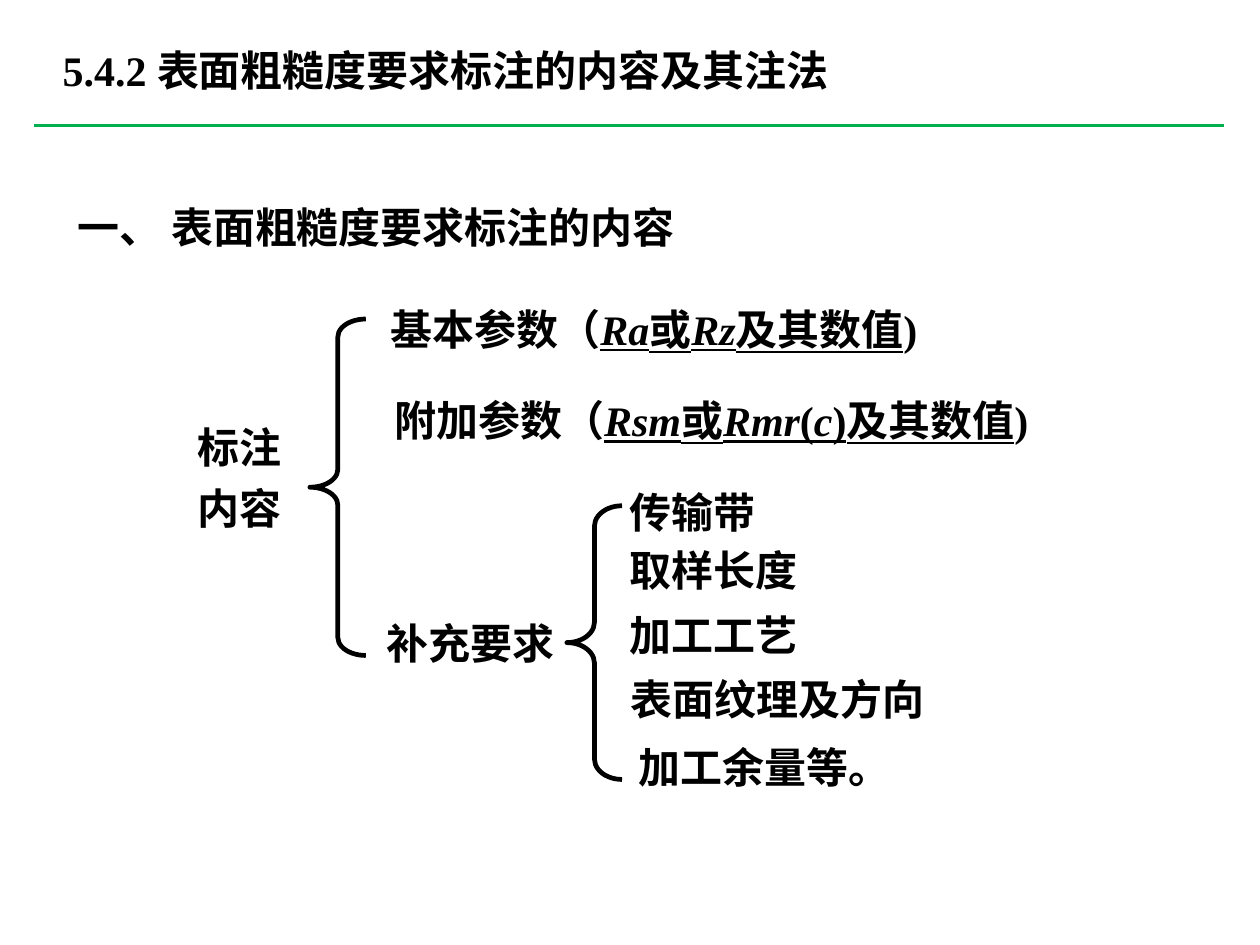
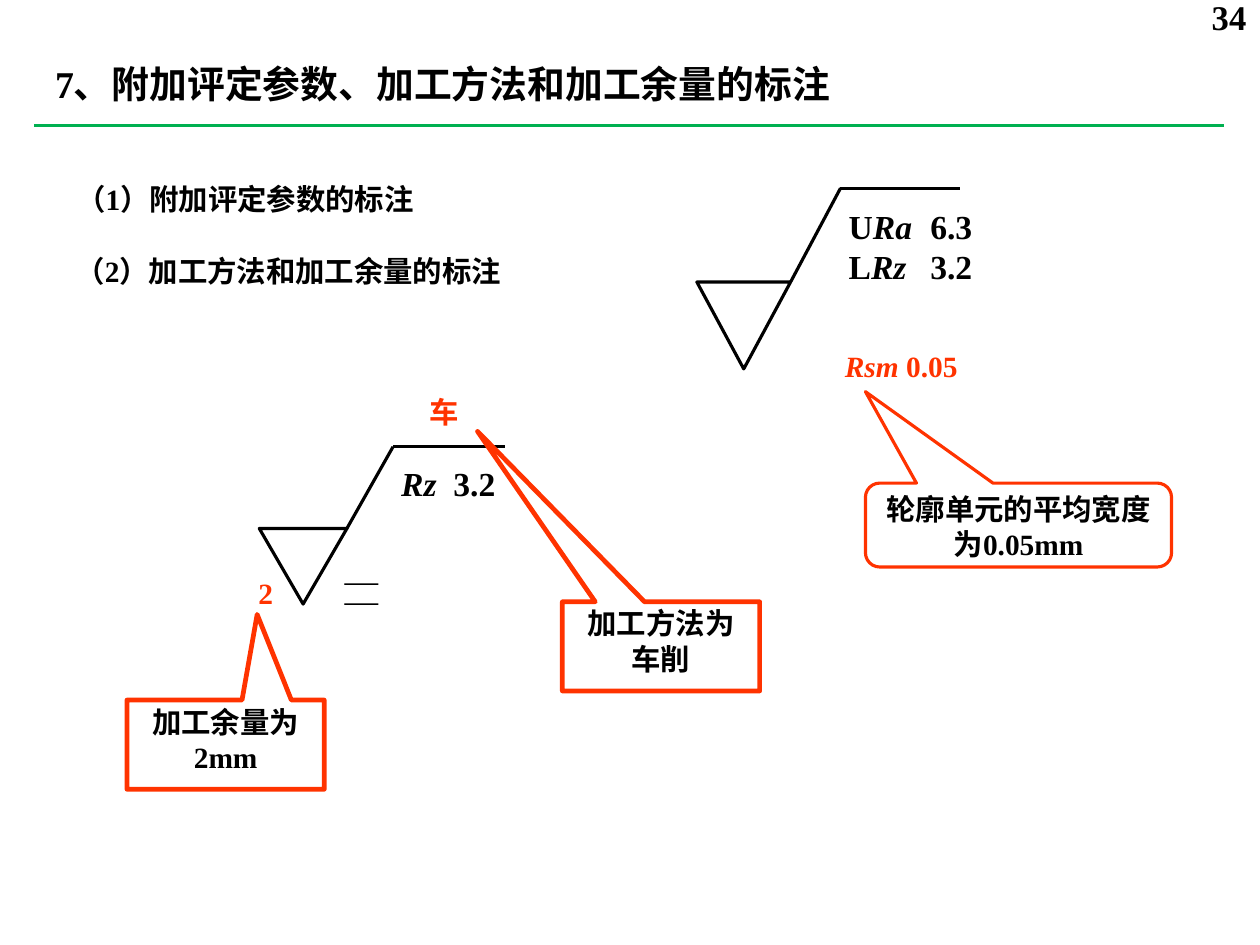
import pptx
import pptx.util
import pptx.dml.color
import pptx.enum.shapes
import pptx.enum.text
import pptx.oxml.ns
from lxml import etree

Inches = pptx.util.Inches
Pt = pptx.util.Pt
SHAPE = pptx.enum.shapes.MSO_SHAPE
ALIGN = pptx.enum.text.PP_ALIGN
COLORS = {"black": "000000", "green": "00B050", "red": "FF3300"}
FONT = "Times New Roman"


def color(name):
    return pptx.dml.color.RGBColor.from_string(COLORS[name])


class Deck:
    def __init__(self, width, height):
        self.prs = pptx.Presentation()
        self.prs.slide_width = Inches(width)
        self.prs.slide_height = Inches(height)

    def slide(self, title, x, y, w, h, size):
        """Start a slide with its title and the green rule below it."""
        self.s = self.prs.slides.add_slide(self.prs.slide_layouts[6])
        self.text(x, y, w, h, [title], size)
        self.line(0.45, 1.66, 16.2, 1.66, "green")

    def fill_text(self, tf, paragraphs, size, ink="black", bold=True, align=None,
                  spacing=None, tab=None):
        """A paragraph is a string or a list of (text, marks); marks: i italic, u underline."""
        tf.word_wrap = True
        tf.vertical_anchor = pptx.enum.text.MSO_ANCHOR.TOP
        for i, content in enumerate(paragraphs):
            p = tf.add_paragraph() if i else tf.paragraphs[0]
            p.alignment = align
            p.line_spacing = spacing
            if tab:
                tabs = etree.SubElement(p._p.get_or_add_pPr(), pptx.oxml.ns.qn("a:tabLst"))
                etree.SubElement(tabs, pptx.oxml.ns.qn("a:tab"), pos=str(Inches(tab)), algn="l")
            pieces = [(content, "")] if isinstance(content, str) else content
            for words, marks in pieces:
                r = p.add_run()
                r.text = words
                r.font.name = FONT
                r.font.size = Pt(size)
                r.font.bold = bold
                r.font.italic = "i" in marks
                r.font.underline = "u" in marks
                r.font.color.rgb = color(ink)

    def text(self, x, y, w, h, paragraphs, size, **style):
        tf = self.s.shapes.add_textbox(Inches(x), Inches(y), Inches(w), Inches(h)).text_frame
        self.fill_text(tf, paragraphs, size, **style)
        tf.auto_size = pptx.enum.text.MSO_AUTO_SIZE.SHAPE_TO_FIT_TEXT
        return tf

    def outline(self, kind, x, y, w, h, ink="black", weight=3.0, adjust=()):
        """Add an unfilled preset shape."""
        sp = self.s.shapes.add_shape(kind, Inches(x), Inches(y), Inches(w), Inches(h))
        sp.shadow.inherit = False
        sp.fill.background()
        sp.line.color.rgb = color(ink)
        sp.line.width = Pt(weight)
        for i, value in enumerate(adjust):
            sp.adjustments[i] = value
        return sp

    def line(self, x1, y1, x2, y2, ink="black", weight=3):
        cn = self.s.shapes.add_connector(pptx.enum.shapes.MSO_CONNECTOR.STRAIGHT,
                                         Inches(x1), Inches(y1), Inches(x2), Inches(y2))
        cn.line.color.rgb = color(ink)
        cn.line.width = Pt(weight)
        etree.SubElement(cn._element.spPr, pptx.oxml.ns.qn("a:effectLst"))

    def brace(self, x, y, w, h, curl):
        self.outline(SHAPE.LEFT_BRACE, x, y, w, h, weight=4.5, adjust=(curl, 0.5))

    def roughness_mark(self, x, y, w, h, bend_x, bar_y, bar_end):
        """Draw the inverted triangle with its long leg and top bar."""
        self.outline(SHAPE.ISOSCELES_TRIANGLE, x, y, w, h).rotation = 180
        self.line(x + w, y, bend_x, bar_y)
        self.line(bend_x, bar_y, bar_end, bar_y)

    def callout(self, kind, x, y, w, h, weight, adjust, paragraphs):
        sp = self.outline(kind, x, y, w, h, "red", weight, adjust)
        self.fill_text(sp.text_frame, paragraphs, 28, align=ALIGN.CENTER)


def contents_slide(deck):
    deck.slide("5.4.2 表面粗糙度要求标注的内容及其注法", 0.73, 0.54, 13.28, 0.77, 40)
    deck.text(0.93, 2.62, 13.28, 0.77, ["一、 表面粗糙度要求标注的内容"], 40)
    deck.brace(4.1, 4.22, 0.74, 4.45, 0.32)
    deck.brace(7.5, 6.69, 0.73, 3.62, 0.37)

    basic = [("基本参数（", ""), ("Ra", "iu"), ("或", "u"), ("Rz", "iu"),
             ("及其数值", "u"), (")", "")]
    extra = [("附加参数（", ""), ("Rsm", "iu"), ("或", "u"), ("Rmr", "iu"), ("(", "u"),
             ("c", "iu"), (")及其数值", "u"), (")", "")]
    for x, y, w, h, paragraphs in (
        (2.52, 5.4, 1.53, 2.06, ["标注", "内容"]),
        (5.07, 3.83, 8.29, 0.91, [basic]),
        (5.12, 5.04, 10.03, 0.91, [extra]),
        (5.02, 7.99, 3.41, 0.9, ["补充要求"]),
        (8.23, 6.26, 3.93, 0.9, ["传输带"]),
        (8.23, 7.02, 3.93, 0.9, ["取样长度"]),
        (8.23, 7.88, 3.93, 0.9, ["加工工艺"]),
        (8.25, 8.73, 6.14, 0.9, ["表面纹理及方向"]),
        (8.35, 9.62, 3.93, 0.9, ["加工余量等。"]),
    ):
        deck.text(x, y, w, h, paragraphs, 40, spacing=1.2)


def marking_slide(deck):
    deck.slide("7、附加评定参数、加工方法和加工余量的标注", 0.63, 0.75, 12.49, 0.71, 36)
    number = deck.text(13.19, -0.14, 3.47, 0.83, ["34"], 33, align=ALIGN.RIGHT)
    number.auto_size = pptx.enum.text.MSO_AUTO_SIZE.NONE
    number.margin_left = number.margin_right = Inches(0.17)
    number.margin_top = number.margin_bottom = Inches(0.08)
    deck.text(0.91, 2.34, 8.53, 0.57, ["（1）附加评定参数的标注"], 28)
    deck.text(0.9, 3.21, 7.33, 0.67, ["（2）加工方法和加工余量的标注"], 28, spacing=1.2)

    deck.roughness_mark(9.22, 3.73, 1.24, 1.15, 11.12, 2.49, 12.7)
    limits = [[("U", ""), ("Ra", "i"), ("\t6.3", "")],
              [("L", ""), ("Rz", "i"), ("\t3.2", "")]]
    deck.text(11.13, 2.67, 2.47, 1.18, limits, 32, tab=1.08)
    deck.text(11.08, 4.55, 2.35, 0.57, [[("Rsm ", "i"), ("0.05", "")]], 28, ink="red")

    deck.roughness_mark(3.43, 6.99, 1.16, 1, 5.2, 5.91, 6.68)
    deck.text(5.21, 6.07, 2.3, 0.63, [[("Rz", "i"), ("\t3.2", "")]], 32, tab=0.69)
    deck.text(4.46, 7.57, 1.85, 0.64, ["—", "—"], 32, bold=False, spacing=0.5)
    deck.text(2.32, 7.56, 1.39, 0.57, ["2"], 28, ink="red", align=ALIGN.RIGHT)
    deck.text(5, 5.17, 1.76, 0.57, ["车"], 28, ink="red", align=ALIGN.CENTER)

    deck.callout(SHAPE.ROUNDED_RECTANGULAR_CALLOUT, 11.45, 6.39, 4.05, 1.11, 3,
                 (-0.5, -1.59, 0.17), ["轮廓单元的平均宽度为0.05mm"])
    deck.callout(SHAPE.RECTANGULAR_CALLOUT, 1.68, 9.26, 2.61, 1.18, 4.5,
                 (0.16, -1.46), ["加工余量为2mm"])
    deck.callout(SHAPE.RECTANGULAR_CALLOUT, 7.44, 7.96, 2.61, 1.18, 4.5,
                 (-0.93, -2.41), ["加工方法为", "车削"])


def main():
    deck = Deck(16.67, 12.5)
    contents_slide(deck)
    marking_slide(deck)
    deck.prs.save("out.pptx")


if __name__ == "__main__":
    main()
